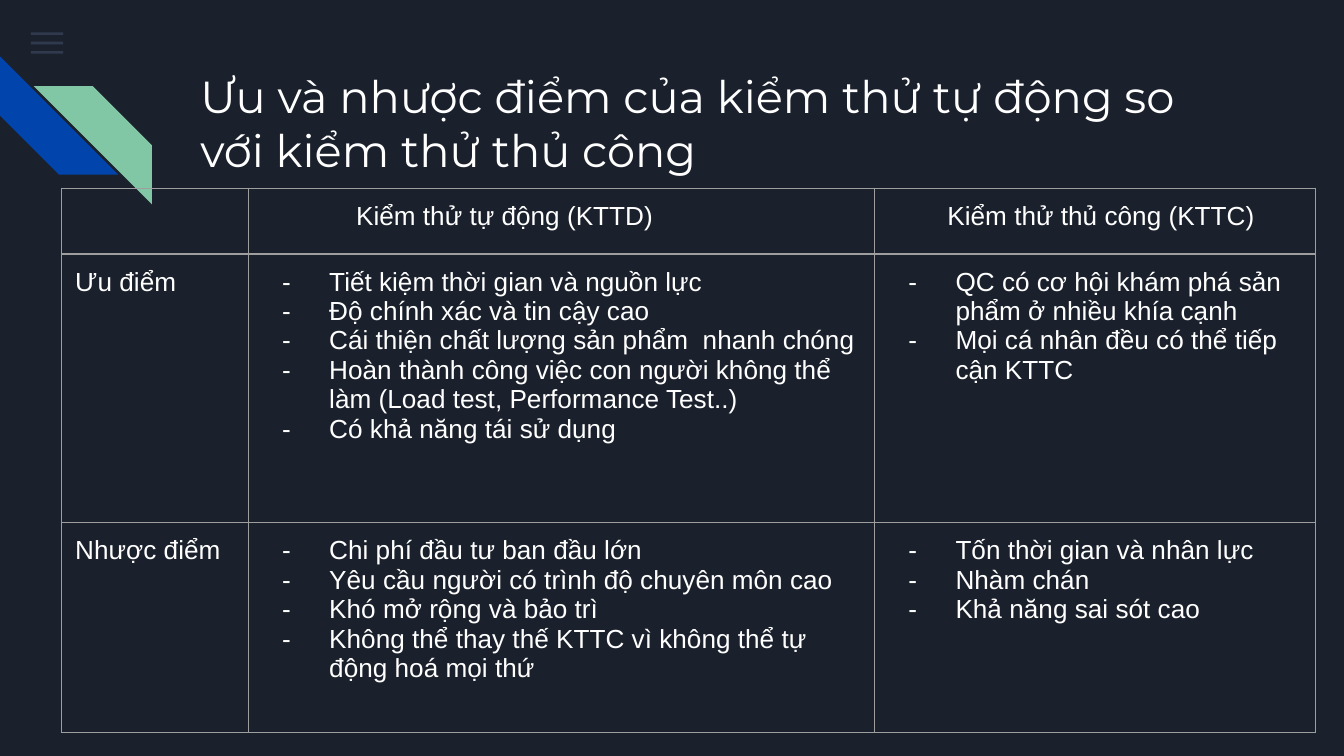
from dataclasses import dataclass

from lxml.etree import SubElement
from pptx import Presentation
from pptx.dml.color import RGBColor as RGB
from pptx.enum.shapes import MSO_SHAPE as SHAPE
from pptx.enum.text import MSO_ANCHOR as ANCHOR, PP_ALIGN as ALIGN
from pptx.oxml import parse_xml
from pptx.oxml.ns import nsdecls, qn
from pptx.util import Inches, Pt


@dataclass(frozen=True)
class Theme:
    background: str = "1B212C"
    text: str = "FFFFFF"
    menu: str = "55688B"
    menu_opacity: int = 36
    blue: str = "0145AC"
    green: str = "82C7A5"
    border: str = "9E9E9E"
    border_width: float = 0.75
    title_font: str = "Montserrat"
    body_font: str = "Arial"
    title_size: int = 24
    body_size: int = 14


@dataclass(frozen=True)
class Decor:
    shape: SHAPE
    left: float
    top: float
    width: float
    height: float
    color: str
    rotation: int = 0
    opacity: int = 100


@dataclass(frozen=True)
class CellText:
    lines: tuple[str, ...] = ()
    bulleted: bool = False
    indent: float = 0


THEME = Theme()
SLIDE_WIDTH = 10
SLIDE_HEIGHT = SLIDE_WIDTH * 9 / 16
INSET = 0.1
BULLET_INDENT = 0.5
BULLET_HANGING = -0.35
COLUMNS = (1.39, 4.66, 3.28)
ROWS = (0.49, 2, 1.56)

TITLE = "Ưu và nhược điểm của kiểm thử tự động so với kiểm thử thủ công"

DECOR = [
    Decor(SHAPE.RECTANGLE, 0.23, 0.24 + 0.07 * i, 0.24, 0.02,
          THEME.menu, opacity=THEME.menu_opacity)
    for i in range(3)
] + [
    Decor(SHAPE.DIAGONAL_STRIPE, 0, 0.42, 0.88, 0.88, THEME.blue, 270),
    Decor(SHAPE.DIAGONAL_STRIPE, 0.25, 0.64, 0.88, 0.88, THEME.green, 90),
]

COMPARISON = (
    (
        CellText(),
        CellText(("Kiểm thử tự động (KTTD)",), indent=0.7),
        CellText(("Kiểm thử thủ công (KTTC)",), indent=0.44),
    ),
    (
        CellText(("Ưu điểm",)),
        CellText((
            "Tiết kiệm thời gian và nguồn lực",
            "Độ chính xác và tin cậy cao",
            "Cái thiện chất lượng sản phẩm  nhanh chóng",
            "Hoàn thành công việc con người không thể làm (Load test, Performance Test..)",
            "Có khả năng tái sử dụng",
        ), bulleted=True),
        CellText((
            "QC có cơ hội khám phá sản phẩm ở nhiều khía cạnh",
            "Mọi cá nhân đều có thể tiếp cận KTTC",
        ), bulleted=True),
    ),
    (
        CellText(("Nhược điểm",)),
        CellText((
            "Chi phí đầu tư ban đầu lớn",
            "Yêu cầu người có trình độ chuyên môn cao",
            "Khó mở rộng và bảo trì",
            "Không thể thay thế KTTC vì không thể tự động hoá mọi thứ",
        ), bulleted=True),
        CellText((
            "Tốn thời gian và nhân lực",
            "Nhàm chán",
            "Khả năng sai sót cao",
        ), bulleted=True),
    ),
)


def apply(target, values: dict) -> None:
    for name, value in values.items():
        setattr(target, name, value)


def margins() -> dict:
    sides = ("left", "top", "right", "bottom")
    return {f"margin_{side}": Inches(INSET) for side in sides}


def add_text(p, text: str, font: str, size: int) -> None:
    r = p.add_run()
    r.text = text
    apply(r.font, {"name": font, "size": Pt(size), "bold": False})
    r.font.color.rgb = RGB.from_string(THEME.text)


def add_decor(slide, decor: Decor) -> None:
    box = (decor.left, decor.top, decor.width, decor.height)
    s = slide.shapes.add_shape(decor.shape, *map(Inches, box))
    s.shadow.inherit = False
    s.rotation = decor.rotation
    s.fill.solid()
    s.fill.fore_color.rgb = RGB.from_string(decor.color)
    s.line.fill.background()
    if decor.opacity < 100:
        color = s.element.spPr.find(qn("a:solidFill")).find(qn("a:srgbClr"))
        SubElement(color, qn("a:alpha"), val=str(decor.opacity * 1000))


def set_title(slide) -> None:
    sp = slide.shapes.title
    box = {"left": 1.39, "top": 0.41, "width": 7.7, "height": 1}
    apply(sp, {name: Inches(value) for name, value in box.items()})
    tf = sp.text_frame
    apply(tf, margins() | {"word_wrap": True, "vertical_anchor": ANCHOR.MIDDLE})
    p = tf.paragraphs[0]
    apply(p, {"alignment": ALIGN.LEFT, "line_spacing": 1.0, "space_before": Pt(0)})
    add_text(p, TITLE, THEME.title_font, THEME.title_size)


def set_borders(cell) -> None:
    tc_pr = cell._tc.get_or_add_tcPr()
    for i, side in enumerate("LRTB"):
        tc_pr.insert(i, parse_xml(
            f'<a:ln{side} {nsdecls("a")} w="{Pt(THEME.border_width)}">'
            f'<a:solidFill><a:srgbClr val="{THEME.border}"/></a:solidFill>'
            f'</a:ln{side}>'))


def set_indent(p, content: CellText) -> None:
    p_pr = p._p.get_or_add_pPr()
    left = BULLET_INDENT if content.bulleted else content.indent
    hanging = BULLET_HANGING if content.bulleted else 0
    p_pr.set("marL", str(Inches(left)))
    p_pr.set("indent", str(Inches(hanging)))
    if content.bulleted:
        color = SubElement(p_pr, qn("a:buClr"))
        SubElement(color, qn("a:srgbClr"), val=THEME.text)
        SubElement(p_pr, qn("a:buFont"), typeface=THEME.body_font)
        SubElement(p_pr, qn("a:buChar"), char="-")


def fill_cell(cell, content: CellText) -> None:
    apply(cell, margins() | {"vertical_anchor": ANCHOR.TOP})
    cell.fill.background()
    set_borders(cell)
    tf = cell.text_frame
    if not content.lines:
        SubElement(tf.paragraphs[0]._p, qn("a:endParaRPr"), sz=str(THEME.body_size * 100))
    for i, line in enumerate(content.lines):
        p = tf.add_paragraph() if i else tf.paragraphs[0]
        set_indent(p, content)
        add_text(p, line, THEME.body_font, THEME.body_size)


def add_comparison(slide) -> None:
    box = (0.46, 1.4, sum(COLUMNS), sum(ROWS))
    table = slide.shapes.add_table(len(ROWS), len(COLUMNS), *map(Inches, box)).table
    apply(table, {"first_row": False, "horz_banding": False})
    for column, width in zip(table.columns, COLUMNS):
        column.width = Inches(width)
    for row, height, contents in zip(table.rows, ROWS, COMPARISON):
        row.height = Inches(height)
        for cell, content in zip(row.cells, contents):
            fill_cell(cell, content)


def main() -> None:
    prs = Presentation()
    apply(prs, {"slide_width": Inches(SLIDE_WIDTH), "slide_height": Inches(SLIDE_HEIGHT)})
    slide = prs.slides.add_slide(prs.slide_layouts[5])
    slide.background.fill.solid()
    slide.background.fill.fore_color.rgb = RGB.from_string(THEME.background)
    for decor in DECOR:
        add_decor(slide, decor)
    set_title(slide)
    add_comparison(slide)
    prs.save("out.pptx")


if __name__ == "__main__":
    main()
